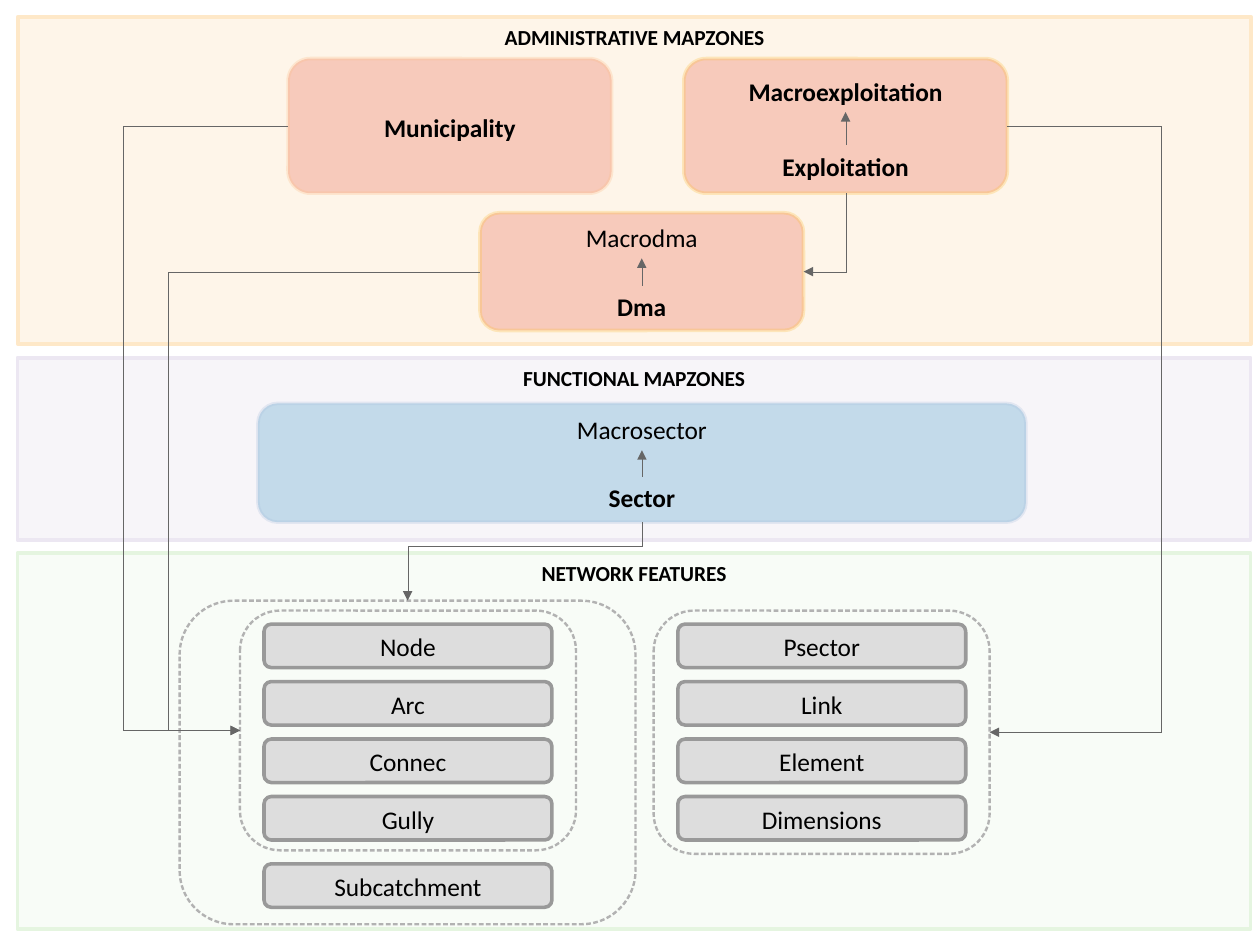
from lxml import etree
from pptx import Presentation
from pptx.dml.color import RGBColor
from pptx.enum.shapes import MSO_CONNECTOR as Link, MSO_SHAPE as Preset
from pptx.enum.text import MSO_ANCHOR as Anchor, PP_ALIGN as Align
from pptx.oxml.ns import qn
from pptx.util import Pt

# Boxes are (left, top, width, height) in points
BANDS = [  # title, box, colour, fill opacity in percent
    ("NETWORK FEATURES", (10.9, 348.5, 777, 236.8), "E5F5E0", 25),
    ("ADMINISTRATIVE MAPZONES", (11.2, 10.6, 777, 206.2), "FEE8C8", 40),
    ("FUNCTIONAL MAPZONES", (10.9, 225.4, 777, 114.6), "ECE7F2", 40),
]
MUNICIPALITY = (181.5, 36.9, 203.8, 84.8)
EXPLOITATION = (430.8, 36.9, 203.8, 84.8)
DMA = (302.4, 134, 203.8, 74.2)
SECTOR = (162.5, 254.1, 483.8, 74.8)
CARDS = [  # box, fill, line, [(label, bold, offset from the card's middle)]
    (MUNICIPALITY, "E34A33", "FDBB84", [("Municipality", True, 0.9)]),
    (EXPLOITATION, "E34A33", "FDBB33",
     [("Macroexploitation", True, -22), ("Exploitation", True, 25.4)]),
    (DMA, "E34A33", "FDBB33", [("Macrodma", False, -21.6), ("Dma", True, 22.2)]),
    (SECTOR, "2B8CBE", "A6BDDB", [("Macrosector", False, -21.2), ("Sector", True, 22)]),
]
LABEL_HEIGHT = 26.6

FEATURE_COLUMNS = [  # left, names
    (166.3, ["Node", "Arc", "Connec", "Gully"]),
    (427, ["Psector", "Link", "Element", "Dimensions"]),
]
BAR_TOP, BAR_PITCH, BAR_WIDTH, BAR_HEIGHT = 393.1, 36.2, 181.4, 27.4
SUBCATCHMENT_TOP = 544.1
CORE_RING = (151.2, 384.6, 211.7, 151)
EXTRA_RING = (411.8, 384.6, 211.7, 153.2)
OUTER_RING = (113.2, 378.4, 287.2, 203.8)


def paint(target, color, opacity=100):
    """Give a fill or a line fill a solid colour."""
    target.solid()
    target.fore_color.rgb = RGBColor.from_string(color)
    if opacity < 100:
        tone = target._xPr.find(qn("a:solidFill"))[0]
        etree.SubElement(tone, qn("a:alpha"), val=str(opacity * 1000))


def write(shape, text, size=16, bold=False, anchor=Anchor.MIDDLE, top=0.8, bottom=0):
    frame = shape.text_frame
    frame.margin_top, frame.margin_bottom = Pt(top), Pt(bottom)
    frame.word_wrap = False
    frame.vertical_anchor = anchor
    frame.text = text
    para = frame.paragraphs[0]
    para.alignment = Align.CENTER
    font = para.runs[0].font
    font.name, font.size, font.bold = "Calibri", Pt(size), bold
    font.color.rgb = RGBColor.from_string("000000")


def add_box(page, preset, box, fill, line, width=2.25, fill_opacity=100, line_opacity=100):
    shape = page.shapes.add_shape(preset, *map(Pt, box))
    shape.shadow.inherit = False
    if fill:
        paint(shape.fill, fill, fill_opacity)
    else:
        shape.fill.background()
    paint(shape.line.fill, line, line_opacity)
    shape.line.width = Pt(width)
    return shape


def add_ring(page, box):
    ring = add_box(page, Preset.ROUNDED_RECTANGLE, box, None, "B2B2B2", 1.5)
    dashes = etree.SubElement(ring.line._get_or_add_ln(), qn("a:custDash"))
    etree.SubElement(dashes, qn("a:ds"), d="200000", sp="100000")


def add_arrow(page, start, end, turn=None, vertical=False, corner=False):
    """Arrow that bends at the coordinate turn, or once if corner is set.

    A vertical route leaves downwards and ends to the lower left: it is a
    horizontal route turned by 90 degrees about its centre.
    """
    (x1, y1), (x2, y2) = start, end
    axis = 1 if vertical else 0
    if vertical:
        cx, cy = (x1 + x2) / 2, (y1 + y2) / 2
        half_w, half_h = (y2 - y1) / 2, (x1 - x2) / 2
        x1, y1, x2, y2 = cx - half_w, cy - half_h, cx + half_w, cy + half_h
    bent = corner or turn is not None
    arrow = page.shapes.add_connector(
        Link.ELBOW if bent else Link.STRAIGHT, *map(Pt, (x1, y1, x2, y2)))
    paint(arrow.line.fill, "666666")
    stroke = arrow.line._get_or_add_ln()
    stroke.set("w", "0")  # hairline
    etree.SubElement(stroke, qn("a:tailEnd"), type="triangle")
    props = arrow._element.spPr
    etree.SubElement(props, qn("a:effectLst"))
    if vertical:
        props.find(qn("a:xfrm")).set("rot", "5400000")
    geometry = props.find(qn("a:prstGeom"))
    if corner:
        geometry.set("prst", "bentConnector2")
    elif bent:
        share = (turn - start[axis]) / (end[axis] - start[axis])
        guides = geometry.find(qn("a:avLst"))
        etree.SubElement(guides, qn("a:gd"), name="adj1", fmla=f"val {round(share * 100000)}")


def side(box, x_share, y_share):
    """Point at the given shares of a box's width and height."""
    left, top, width, height = box
    return left + width * x_share, top + height * y_share


def add_card(page, box, fill, line, labels):
    add_box(page, Preset.ROUNDED_RECTANGLE, box, fill, line,
            fill_opacity=25, line_opacity=25)
    left, _, width, _ = box
    middle_x, middle_y = side(box, 0.5, 0.5)
    for text, bold, offset in labels:
        top = middle_y + offset - LABEL_HEIGHT / 2
        label = page.shapes.add_textbox(*map(Pt, (left + 8, top, width - 16, LABEL_HEIGHT)))
        write(label, text, bold=bold, top=3.6, bottom=3.6)
    if len(labels) == 2:
        upper, lower = (middle_y + offset for _, _, offset in labels)
        add_arrow(page, (middle_x, lower - LABEL_HEIGHT / 2),
                  (middle_x, upper + LABEL_HEIGHT / 2))


def add_bar(page, left, top, name):
    bar = add_box(page, Preset.ROUNDED_RECTANGLE, (left, top, BAR_WIDTH, BAR_HEIGHT),
                  "DDDDDD", "999999")
    write(bar, name)


def main():
    deck = Presentation()
    deck.slide_width, deck.slide_height = Pt(793.75), Pt(595.25)
    page = deck.slides.add_slide(deck.slide_layouts[6])

    for title, box, color, opacity in BANDS:
        band = add_box(page, Preset.RECTANGLE, box, color, color, fill_opacity=opacity)
        write(band, title, 13.5, True, Anchor.TOP, 4.5, 4.5)
    for card in CARDS:
        add_card(page, *card)

    for left, names in FEATURE_COLUMNS:
        for row, name in enumerate(names):
            add_bar(page, left, BAR_TOP + row * BAR_PITCH, name)
    add_bar(page, FEATURE_COLUMNS[0][0], SUBCATCHMENT_TOP, "Subcatchment")
    for box in (CORE_RING, EXTRA_RING, OUTER_RING):
        add_ring(page, box)

    core_left = side(CORE_RING, 0, 0.5)
    add_arrow(page, side(MUNICIPALITY, 0, 0.5), core_left, turn=77.7)
    add_arrow(page, side(DMA, 0, 0.5), core_left, turn=105.9)
    add_arrow(page, side(EXPLOITATION, 1, 0.5), side(EXTRA_RING, 1, 0.5), turn=731.5)
    add_arrow(page, side(EXPLOITATION, 0.5, 1), side(DMA, 1, 0.5),
              vertical=True, corner=True)
    add_arrow(page, side(SECTOR, 0.5, 1), side(OUTER_RING, 0.5, 0),
              turn=344.2, vertical=True)

    deck.save("out.pptx")


if __name__ == "__main__":
    main()
